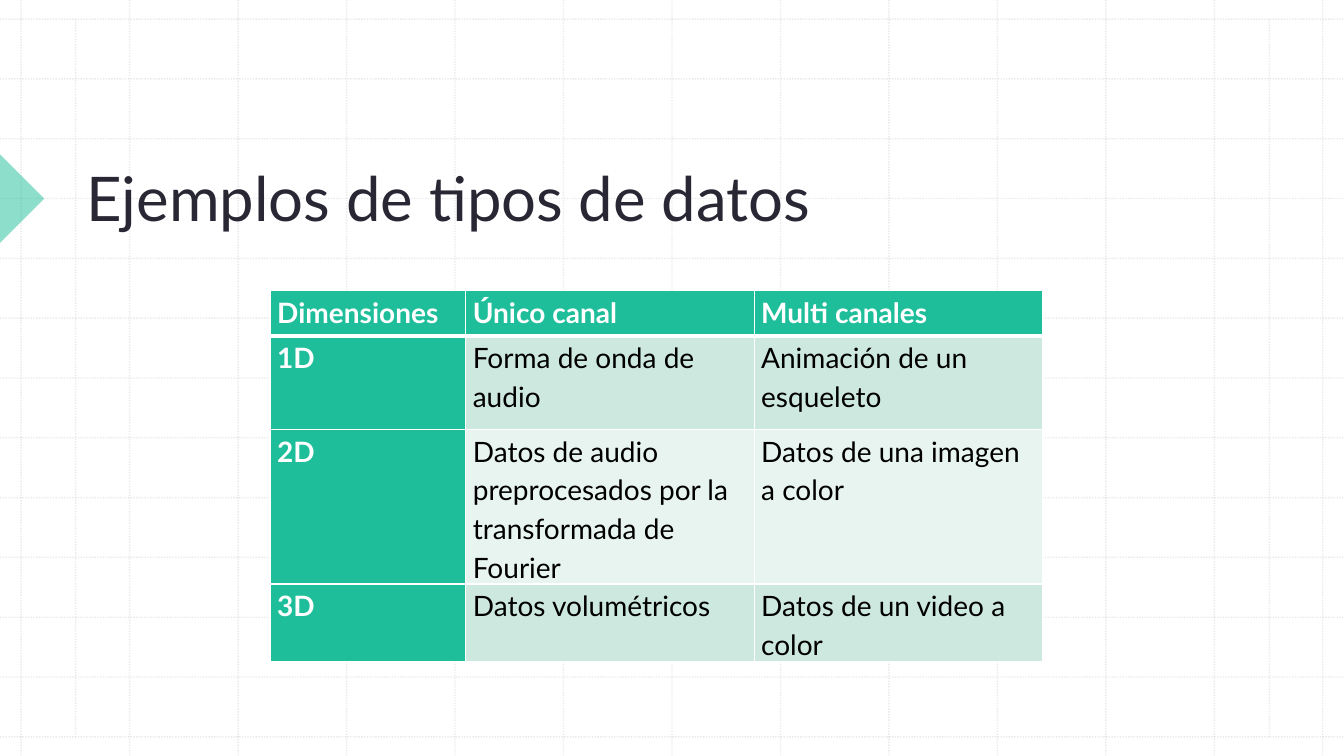
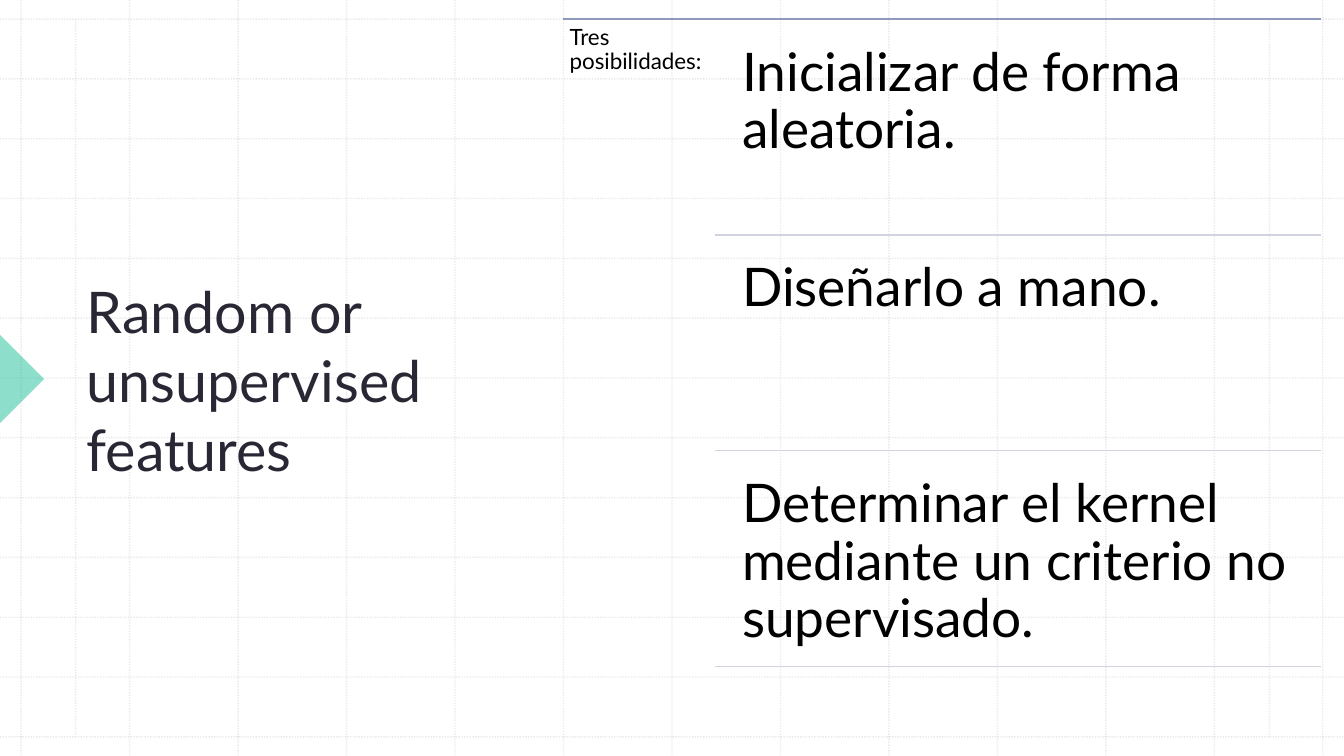
from dataclasses import dataclass

from lxml import etree
from pptx import Presentation
from pptx.dml.color import RGBColor
from pptx.enum.dml import MSO_LINE
from pptx.enum.shapes import MSO_CONNECTOR, MSO_SHAPE
from pptx.enum.text import MSO_ANCHOR
from pptx.oxml.ns import qn
from pptx.shapes.shapetree import GroupShapes
from pptx.slide import Slide
from pptx.table import _Cell
from pptx.text.text import TextFrame
from pptx.util import Inches, Pt

FONT = "Lato"
WHITE = RGBColor(0xFF, 0xFF, 0xFF)
BLACK = RGBColor(0x00, 0x00, 0x00)
TITLE_COLOR = RGBColor(0x2A, 0x27, 0x35)
GREEN = RGBColor(0x1E, 0xBE, 0x9B)
BAND_DARK = RGBColor(0xCD, 0xE8, 0xDE)
BAND_LIGHT = RGBColor(0xE8, 0xF4, 0xEF)
GRID_GRAY = RGBColor(0xBC, 0xBC, 0xBC)
RULE_DARK = RGBColor(0x8F, 0x99, 0xBB)
RULE_LIGHT = RGBColor(0xD1, 0xD4, 0xE0)

SLIDE_WIDTH, SLIDE_HEIGHT = 13.33, 7.5
GRID_LEFT, GRID_RIGHT = 0.21, 13.12
GRID_TOP, GRID_BOTTOM = 0.19, 7.31
GRID_STEPS = 12
MARGIN_LINES = (0.75, 12.59)

TABLE_ROWS = (
    ("Dimensiones", "Único canal", "Multi canales"),
    ("1D", "Forma de onda de audio", "Animación de un esqueleto"),
    ("2D", "Datos de audio preprocesados por la transformada de Fourier",
     "Datos de una imagen a color"),
    ("3D", "Datos volumétricos", "Datos de un video a color"),
)
COLUMN_WIDTHS = (1.94, 2.86, 2.86)
ROW_HEIGHTS = (0.45, 0.93, 1.4, 0.45)

OPTIONS = (
    "Inicializar de forma aleatoria.",
    "Diseñarlo a mano.",
    "Determinar el kernel mediante un criterio no supervisado.",
)
OPTION_PITCH = 2.14


@dataclass(frozen=True)
class Box:
    left: float
    top: float
    width: float
    height: float


@dataclass(frozen=True)
class TitleStyle:
    box: Box
    size: float
    anchor: MSO_ANCHOR
    marker_center: float


TABLE_TITLE = TitleStyle(Box(0.76, 0.79, 11.29, 1.58), 44, MSO_ANCHOR.BOTTOM, 1.97)
SIDE_TITLE = TitleStyle(Box(0.76, 0.79, 3.75, 5.95), 41, MSO_ANCHOR.MIDDLE, 3.76)


def write_text(frame: TextFrame, text: str, *, size: float, color: RGBColor = BLACK,
               bold: bool = False, line_spacing: float = 1.0,
               space_after: float = 0) -> None:
    paragraph = frame.paragraphs[0]
    paragraph.line_spacing = line_spacing
    paragraph.space_after = Pt(space_after)
    run = paragraph.add_run()
    run.text = text
    run.font.name = FONT
    run.font.size = Pt(size)
    run.font.bold = bold
    run.font.color.rgb = color


def add_text_box(slide: Slide, box: Box, text: str, *, inset: float | None = None,
                 anchor: MSO_ANCHOR = MSO_ANCHOR.TOP, **text_format) -> None:
    shape = slide.shapes.add_textbox(Inches(box.left), Inches(box.top),
                                     Inches(box.width), Inches(box.height))
    frame = shape.text_frame
    frame.word_wrap = True
    frame.vertical_anchor = anchor
    if inset is not None:
        frame.margin_left = frame.margin_right = Inches(inset)
        frame.margin_top = frame.margin_bottom = Inches(inset)
    write_text(frame, text, **text_format)


def set_opacity(properties: etree._Element, percent: int) -> None:
    for color in properties.iter(qn("a:srgbClr")):
        etree.SubElement(color, qn("a:alpha"), val=str(percent * 1000))


def add_line(shapes: GroupShapes, start: tuple[float, float], end: tuple[float, float],
             color: RGBColor, *, dotted: bool = False, opacity: int = 100) -> None:
    connector = shapes.add_connector(MSO_CONNECTOR.STRAIGHT, Inches(start[0]), Inches(start[1]),
                                     Inches(end[0]), Inches(end[1]))
    connector.line.width = Pt(1)
    connector.line.color.rgb = color
    if dotted:
        connector.line.dash_style = MSO_LINE.ROUND_DOT
    properties = connector.element.spPr
    if opacity < 100:
        set_opacity(properties, opacity)
    etree.SubElement(properties, qn("a:effectLst"))


def add_grid(slide: Slide) -> None:
    shapes = slide.shapes.add_group_shape().shapes
    column_gap = (GRID_RIGHT - GRID_LEFT) / GRID_STEPS
    row_gap = (GRID_BOTTOM - GRID_TOP) / GRID_STEPS
    segments = []
    for step in range(GRID_STEPS + 1):
        x = GRID_LEFT + step * column_gap
        y = GRID_TOP + step * row_gap
        segments += [((x, 0), (x, SLIDE_HEIGHT)), ((0, y), (SLIDE_WIDTH, y))]
    segments += [((x, GRID_TOP), (x, GRID_BOTTOM)) for x in MARGIN_LINES]
    for start, end in segments:
        add_line(shapes, start, end, GRID_GRAY, dotted=True, opacity=30)


def add_title(slide: Slide, text: str, style: TitleStyle) -> None:
    """Add the title and the triangle that points at it from the left edge."""
    side = 0.62
    marker = slide.shapes.add_shape(MSO_SHAPE.RIGHT_TRIANGLE, Inches(-side / 2),
                                    Inches(style.marker_center - side / 2),
                                    Inches(side), Inches(side))
    marker.rotation = 225
    marker.shadow.inherit = False
    marker.fill.solid()
    marker.fill.fore_color.rgb = GREEN
    marker.line.fill.background()
    set_opacity(marker.element.spPr, 50)
    add_text_box(slide, style.box, text, anchor=style.anchor, size=style.size, color=TITLE_COLOR)


def set_borders(cell: _Cell, *, top: float = 1, bottom: float = 1) -> None:
    properties = cell._tc.get_or_add_tcPr()
    for tag, width in (("lnL", 1), ("lnR", 1), ("lnT", top), ("lnB", bottom)):
        line = etree.SubElement(properties, qn(f"a:{tag}"), w=str(Pt(width)))
        fill = etree.SubElement(line, qn("a:solidFill"))
        etree.SubElement(fill, qn("a:srgbClr"), val=str(WHITE))


def add_data_table(slide: Slide) -> None:
    table = slide.shapes.add_table(len(TABLE_ROWS), len(COLUMN_WIDTHS), Inches(2.68), Inches(2.88),
                                   Inches(sum(COLUMN_WIDTHS)), Inches(sum(ROW_HEIGHTS))).table
    for column, width in zip(table.columns, COLUMN_WIDTHS):
        column.width = Inches(width)
    for row, height in zip(table.rows, ROW_HEIGHTS):
        row.height = Inches(height)
    for row_index, texts in enumerate(TABLE_ROWS):
        band = BAND_DARK if row_index % 2 else BAND_LIGHT
        for column_index, text in enumerate(texts):
            cell = table.cell(row_index, column_index)
            is_heading = row_index == 0 or column_index == 0
            cell.margin_left = cell.margin_right = Inches(0.07)
            cell.margin_top = cell.margin_bottom = Inches(0)
            set_borders(cell, top=3 if row_index == 1 else 1, bottom=3 if row_index == 0 else 1)
            cell.fill.solid()
            cell.fill.fore_color.rgb = GREEN if is_heading else band
            write_text(cell.text_frame, text, size=20, bold=is_heading,
                       color=WHITE if is_heading else BLACK, line_spacing=1.15, space_after=8)


def add_options(slide: Slide) -> None:
    right = 13.1
    add_line(slide.shapes, (5.58, GRID_TOP), (right, GRID_TOP), RULE_DARK)
    add_text_box(slide, Box(5.58, 0.19, 1.5, 6.53), "Tres posibilidades:",
                 inset=0.07, size=16, line_spacing=0.9)
    for index, option in enumerate(OPTIONS):
        top = 0.29 + index * OPTION_PITCH
        rule = top + 2.04
        add_text_box(slide, Box(7.2, top, 5.91, 2.04), option,
                     inset=0.16, size=38, line_spacing=0.9)
        add_line(slide.shapes, (7.09, rule), (right, rule), RULE_LIGHT)


def add_slide(presentation: Presentation, title: str, style: TitleStyle) -> Slide:
    slide = presentation.slides.add_slide(presentation.slide_layouts[6])
    slide.background.fill.solid()
    slide.background.fill.fore_color.rgb = WHITE
    add_grid(slide)
    add_title(slide, title, style)
    return slide


def main() -> None:
    presentation = Presentation()
    presentation.slide_width = Inches(SLIDE_WIDTH)
    presentation.slide_height = Inches(SLIDE_HEIGHT)
    add_data_table(add_slide(presentation, "Ejemplos de tipos de datos", TABLE_TITLE))
    add_options(add_slide(presentation, "Random or unsupervised features", SIDE_TITLE))
    presentation.save("out.pptx")


if __name__ == "__main__":
    main()
